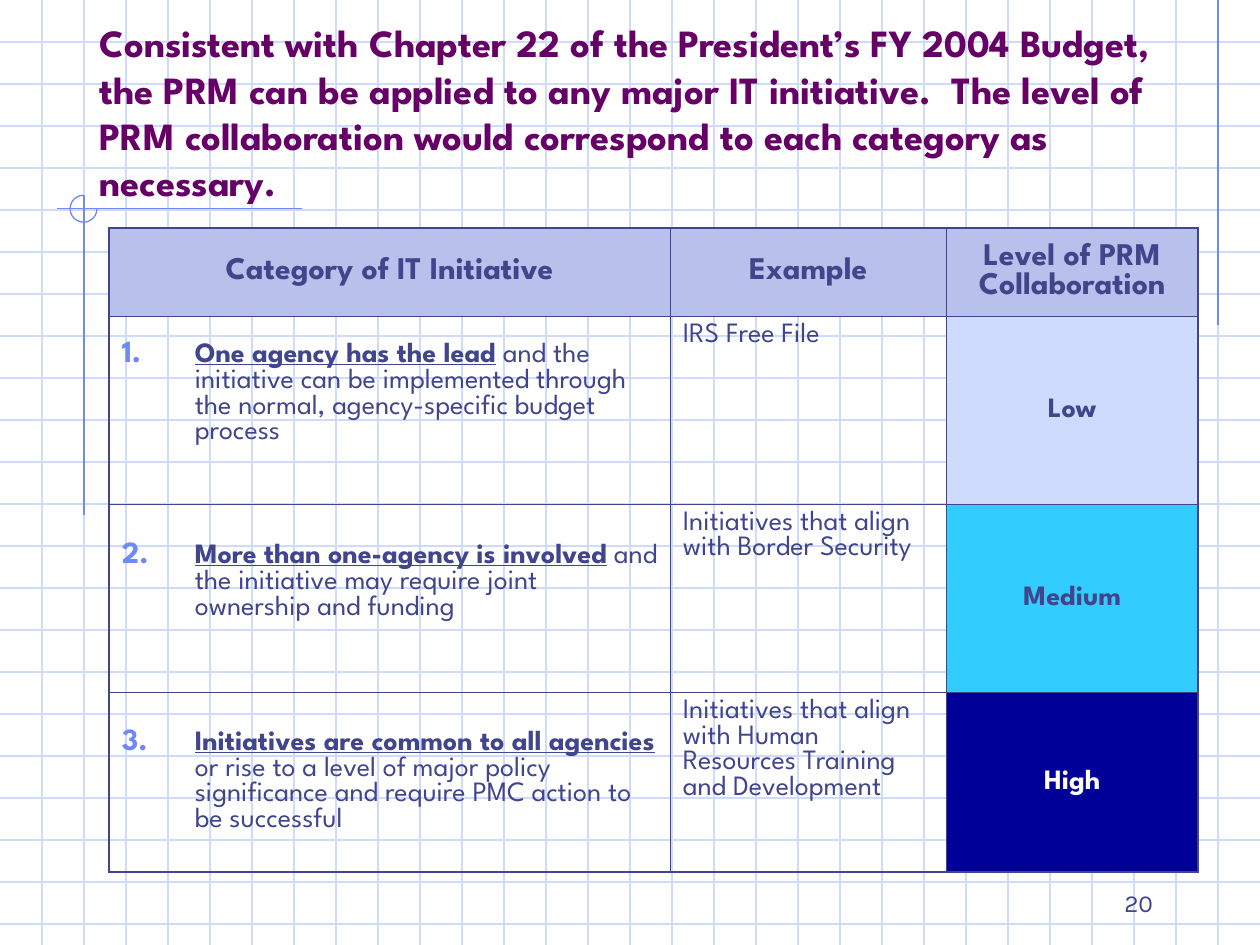
"""Build the slide on levels of PRM collaboration."""
import dataclasses
import typing

import lxml.etree
import pptx
import pptx.dml.color
import pptx.enum.shapes
import pptx.enum.text
import pptx.oxml.ns
import pptx.util

ALIGN = pptx.enum.text.PP_ALIGN
ANCHOR = pptx.enum.text.MSO_ANCHOR
COLS, ROWS = 30, 22.5


@dataclasses.dataclass(frozen=True)
class Theme:
    head: str = "League Spartan"
    page: str = "Karla"
    ink: str = "40458C"
    plum: str = "660066"
    grid: str = "CFDBFD"
    mark: str = "6F89F7"
    band: str = "B7C1EB"
    white: str = "FFFFFF"
    big: float = 22
    mid: float = 18
    text: float = 16
    small: float = 14
    thin: float = 0.45
    thick: float = 1.08
    rule: float = 0.75


@dataclasses.dataclass(frozen=True)
class Run:
    text: str
    size: float
    color: str
    bold: bool = False
    under: bool = False
    font: str = Theme.head


@dataclasses.dataclass(frozen=True)
class Line:
    x1: float
    y1: float
    x2: float
    y2: float
    color: str


@dataclasses.dataclass(frozen=True)
class Level:
    lead: str
    rest: str
    case: str
    name: str
    fill: str
    ink: str
    foot: float


THEME = Theme()
LEVELS = [
    Level("One agency has the lead",
          " and the initiative can be implemented through the normal, agency-specific budget process",
          "IRS Free File", "Low", "CFDBFD", THEME.ink, 0.9),
    Level("More than one-agency is involved",
          " and the initiative may require joint ownership and funding",
          "Initiatives that align with Border Security", "Medium", "33CCFF", THEME.ink, 0.9),
    Level("Initiatives are common to all agencies",
          " or rise to a level of major policy significance and require PMC action to be successful",
          "Initiatives that align with Human Resources Training and Development",
          "High", "000099", THEME.white, 0.15),
]
HEADS = ["Category of IT Initiative", "Example", "Level of PRM Collaboration"]
TITLE = ("Consistent with Chapter 22 of the President’s FY 2004 Budget, the PRM can be applied "
         "to any major IT initiative.  The level of PRM collaboration would correspond to each "
         "category as necessary.")


def span(cells: float) -> pptx.util.Emu:
    return pptx.util.Inches(cells * 10 / COLS)


def tint(code: str) -> pptx.dml.color.RGBColor:
    return pptx.dml.color.RGBColor.from_string(code)


def node(parent: typing.Any, tag: str, **attrs: str) -> typing.Any:
    return lxml.etree.SubElement(parent, pptx.oxml.ns.qn(tag), attrs)


def write(para: typing.Any, runs: list[Run], align: typing.Any = ALIGN.LEFT) -> None:
    para.alignment = align
    for item in runs:
        run = para.add_run()
        run.text = item.text
        run.font.name = item.font
        run.font.size = pptx.util.Pt(item.size)
        run.font.bold = item.bold
        run.font.underline = item.under
        run.font.color.rgb = tint(item.color)


def draw(shapes: typing.Any, line: Line) -> None:
    ends = map(span, (line.x1, line.y1, line.x2, line.y2))
    link = shapes.add_connector(pptx.enum.shapes.MSO_CONNECTOR.STRAIGHT, *ends)
    link.line.color.rgb = tint(line.color)
    link.line.width = pptx.util.Pt(THEME.rule)
    node(link._element.spPr, "a:effectLst")


def frame(cell: typing.Any, row: int, col: int) -> None:
    outer = {"a:lnL": col == 0, "a:lnR": col == len(HEADS) - 1,
             "a:lnT": row == 0, "a:lnB": row == len(LEVELS)}
    for tag, edge in outer.items():
        width = pptx.util.Pt(THEME.thick if edge else THEME.thin)
        side = node(cell._tc.get_or_add_tcPr(), tag, w=str(int(width)))
        node(node(side, "a:solidFill"), "a:srgbClr", val=THEME.ink)


def fill(cell: typing.Any, color: str | None, anchor: typing.Any) -> None:
    cell.vertical_anchor = anchor
    if color:
        cell.fill.solid()
        cell.fill.fore_color.rgb = tint(color)
    else:
        cell.fill.background()


def number(para: typing.Any, start: int) -> None:
    props = para._p.get_or_add_pPr()
    indent = int(pptx.util.Inches(0.58))
    props.set("marL", str(indent))
    props.set("indent", str(-indent))
    node(node(props, "a:buClr"), "a:srgbClr", val=THEME.mark)
    node(props, "a:buSzPct", val="110000")
    node(props, "a:buAutoNum", type="arabicPeriod", startAt=str(start))


def backdrop(shapes: typing.Any) -> None:
    lines = [Line(0, y, COLS, y, THEME.grid) for y in range(1, int(ROWS) + 1)]
    lines += [Line(x, 0, x, ROWS, THEME.grid) for x in range(1, COLS)]
    lines += [Line(29, 0, 29, 7.75, THEME.mark),
              Line(7.2, 4.97, 1.35, 4.97, THEME.mark),
              Line(2, 4.65, 2, 12.27, THEME.mark)]
    for line in lines:
        draw(shapes, line)
    arc = shapes.add_shape(pptx.enum.shapes.MSO_SHAPE.ARC,
                           *map(span, (1.67, 4.65, 0.64, 0.64)))
    arc.adjustments[0], arc.adjustments[1] = 0, 162
    arc.fill.background()
    arc.line.color.rgb = tint(THEME.mark)
    arc.line.width = pptx.util.Pt(THEME.rule)
    arc.shadow.inherit = False


def heading(slide: typing.Any) -> None:
    title = slide.shapes.title
    slide.shapes._spTree.append(title._element)
    title.left, title.top, title.width, title.height = map(span, (2.07, 1.26, 26.7, 3.75))
    body = title.text_frame
    body.auto_size = pptx.enum.text.MSO_AUTO_SIZE.NONE
    body.word_wrap = True
    body.vertical_anchor = ANCHOR.BOTTOM
    write(body.paragraphs[0], [Run(TITLE, THEME.big, THEME.plum, True)])


def chart(shapes: typing.Any) -> None:
    wide, tall = (13.36, 6.57, 6), (2.1, 4.48, 4.48, 4.28)
    table = shapes.add_table(len(tall), len(wide), span(2.6), span(5.43),
                             span(sum(wide)), span(sum(tall))).table
    table.first_row = table.horz_banding = False
    for col, size in zip(table.columns, wide):
        col.width = span(size)
    for row, size in zip(table.rows, tall):
        row.height = span(size)
    for row in range(len(tall)):
        for col in range(len(wide)):
            frame(table.cell(row, col), row, col)
    for col, text in enumerate(HEADS):
        cell = table.cell(0, col)
        fill(cell, THEME.band, ANCHOR.MIDDLE)
        write(cell.text_frame.paragraphs[0], [Run(text, THEME.mid, THEME.ink, True)], ALIGN.CENTER)
    for row, level in enumerate(LEVELS, 1):
        kind, case, name = (table.cell(row, col) for col in range(len(wide)))
        fill(kind, None, ANCHOR.MIDDLE)
        kind.margin_bottom = span(level.foot)
        kind.margin_right = span(0.25)
        number(kind.text_frame.paragraphs[0], row)
        write(kind.text_frame.paragraphs[0],
              [Run(level.lead, THEME.text, THEME.ink, True, True),
               Run(level.rest, THEME.text, THEME.ink)])
        fill(case, None, ANCHOR.TOP)
        write(case.text_frame.paragraphs[0], [Run(level.case, THEME.text, THEME.ink)])
        fill(name, level.fill, ANCHOR.MIDDLE)
        write(name.text_frame.paragraphs[0],
              [Run(level.name, THEME.text, level.ink, True)], ALIGN.CENTER)


def main() -> None:
    deck = pptx.Presentation()
    deck.slide_width, deck.slide_height = span(COLS), span(ROWS)
    slide = deck.slides.add_slide(deck.slide_layouts[5])
    backdrop(slide.shapes)
    heading(slide)
    chart(slide.shapes)
    page = slide.shapes.add_textbox(*map(span, (21.5, 20.5, 6.25, 1.5))).text_frame
    page.word_wrap = True
    page.vertical_anchor = ANCHOR.BOTTOM
    write(page.paragraphs[0], [Run("20", THEME.small, THEME.ink, font=THEME.page)], ALIGN.RIGHT)
    deck.save("out.pptx")


if __name__ == "__main__":
    main()
